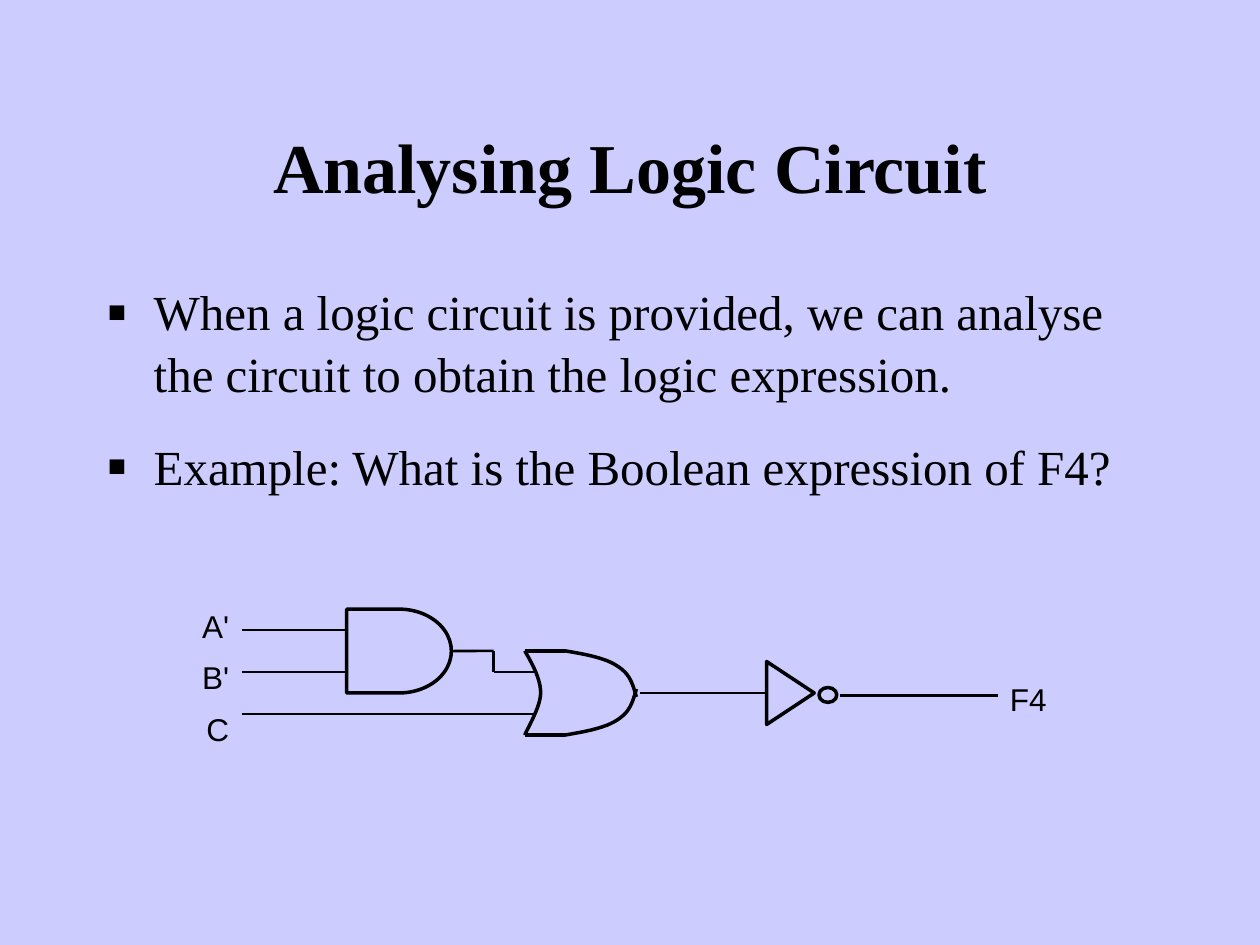
from lxml import etree
from pptx import Presentation
from pptx.dml.color import RGBColor
from pptx.enum.shapes import MSO_CONNECTOR, MSO_SHAPE as SHAPE
from pptx.enum.text import MSO_ANCHOR as ANCHOR, PP_ALIGN as ALIGN
from pptx.oxml.ns import qn
from pptx.util import Cm, Pt

INK = "000000"
WIRE, GATE = 1.5, 2
LEVEL_1, LEVEL_2, LEVEL_3 = 12.7, 13.55, 14.39  # heights of the gate inputs
AND_OUT = 13.12
OR_MID, OR_HALF = 13.97, 0.85
NOT_OUT = 14.02


def rgb(value):
    return RGBColor.from_string(value)


def add_bullet(p):
    pPr = p._p.get_or_add_pPr()
    pPr.set("marL", str(Cm(0.95)))
    pPr.set("indent", str(-Cm(0.95)))
    etree.SubElement(pPr, qn("a:buSzPct")).set("val", "120000")
    etree.SubElement(pPr, qn("a:buFont")).set("typeface", "Arial")
    etree.SubElement(pPr, qn("a:buChar")).set("char", "▪")


def add_text(slide, box, lines, size, font="Times New Roman", bold=False,
             align=ALIGN.LEFT, anchor=ANCHOR.TOP, gap=0, bullets=False):
    tf = slide.shapes.add_textbox(*map(Cm, box)).text_frame
    tf.word_wrap = True
    tf.vertical_anchor = anchor
    for i, line in enumerate(lines):
        p = tf.paragraphs[0] if i == 0 else tf.add_paragraph()
        p.alignment = align
        p.line_spacing = 1.05
        if i:
            p.space_before = Pt(gap)
        if bullets:
            add_bullet(p)
        r = p.add_run()
        r.text = line
        r.font.name = font
        r.font.size = Pt(size)
        r.font.bold = bold
        r.font.color.rgb = rgb(INK)


def outline(s, width=GATE):
    s.line.color.rgb = rgb(INK)
    s.line.width = Pt(width)


def add_gate(slide, kind, box, rotation=0):
    s = slide.shapes.add_shape(kind, *map(Cm, box))
    s.shadow.inherit = False
    s.fill.background()
    s.rotation = rotation
    outline(s)
    return s


def add_line(slide, start, end, width=WIRE):
    c = slide.shapes.add_connector(MSO_CONNECTOR.STRAIGHT, *map(Cm, start + end))
    outline(c, width)
    etree.SubElement(c._element.spPr, qn("a:effectLst"))
    return c


def bezier(a, b, c, d, steps=12):
    """Points along a cubic curve, without its start."""
    for i in range(1, steps + 1):
        t = i / steps
        u = 1 - t
        yield tuple(u**3 * p + 3 * u * u * t * q + 3 * u * t * t * r + t**3 * s
                    for p, q, r, s in zip(a, b, c, d))


def add_curve(slide, controls):
    """Open curve of joined cubic pieces; controls are in centimetres."""
    points = [(Cm(x), Cm(y)) for x, y in controls]
    builder = slide.shapes.build_freeform(*points[0])
    for i in range(0, len(points) - 1, 3):
        builder.add_line_segments(list(bezier(*points[i:i + 4])), close=False)
    s = builder.convert_to_shape()
    s.shadow.inherit = False
    s.fill.background()
    outline(s)


def add_or_gate(slide):
    back = [(10.58, -0.85), (10.74, -0.57), (10.9, -0.28), (10.9, 0),
            (10.9, 0.28), (10.64, 0.7), (10.58, 0.85)]
    front = [(11.38, -0.85), (11.81, -0.78), (12.22, -0.7), (12.45, -0.54),
             (12.7, -0.38), (12.75, -0.2), (12.83, 0.08)]
    add_curve(slide, [(x, OR_MID + y) for x, y in back])
    for side in (1, -1):
        y_edge = OR_MID - side * OR_HALF
        add_line(slide, (10.58, y_edge), (11.38, y_edge), GATE)
        add_curve(slide, [(x, OR_MID + side * y) for x, y in front])


def add_circuit(slide):
    and_gate = add_gate(slide, SHAPE.FLOWCHART_DELAY, (6.99, 12.28, 2.11, 1.69))
    add_or_gate(slide)
    add_gate(slide, SHAPE.FLOWCHART_MERGE, (15.3, 13.49, 1.27, 0.96), 270)
    add_gate(slide, SHAPE.OVAL, (16.51, 13.86, 0.36, 0.3))

    for start, end in [
        ((4.87, LEVEL_1), (6.99, LEVEL_1)),
        ((4.87, LEVEL_2), (6.99, LEVEL_2)),
        ((4.87, LEVEL_3), (10.8, LEVEL_3)),
        ((9.95, LEVEL_2), (9.95, AND_OUT)),
        ((9.95, LEVEL_2), (10.8, LEVEL_2)),
        ((12.91, OR_MID), (15.45, OR_MID)),
        ((16.93, NOT_OUT), (20.11, NOT_OUT)),
    ]:
        add_line(slide, start, end)
    add_line(slide, (9.1, AND_OUT), (9.95, AND_OUT)).begin_connect(and_gate, 3)

    add_text(slide, (3.6, 12.07, 1.27, 3.02), ["A'", "B'", "C"], 18, "Arial",
             align=ALIGN.RIGHT, gap=6.8)
    add_text(slide, (20.11, 13.55, 1.48, 1.02), ["F4"], 18, "Arial")


def main():
    prs = Presentation()
    prs.slide_width, prs.slide_height = Cm(25.4), Cm(19.05)
    slide = prs.slides.add_slide(prs.slide_layouts[6])
    slide.background.fill.solid()
    slide.background.fill.fore_color.rgb = rgb("CCCCFF")

    add_text(slide, (1.9, 1.7, 21.6, 3.18), ["Analysing Logic Circuit"], 40,
             bold=True, align=ALIGN.CENTER, anchor=ANCHOR.MIDDLE)
    add_text(slide, (1.9, 5.5, 21.6, 5.28), [
        "When a logic circuit is provided, we can analyse the circuit "
        "to obtain the logic expression.",
        "Example: What is the Boolean expression of F4?",
    ], 28, gap=17.5, bullets=True)
    add_circuit(slide)
    prs.save("out.pptx")


if __name__ == "__main__":
    main()
